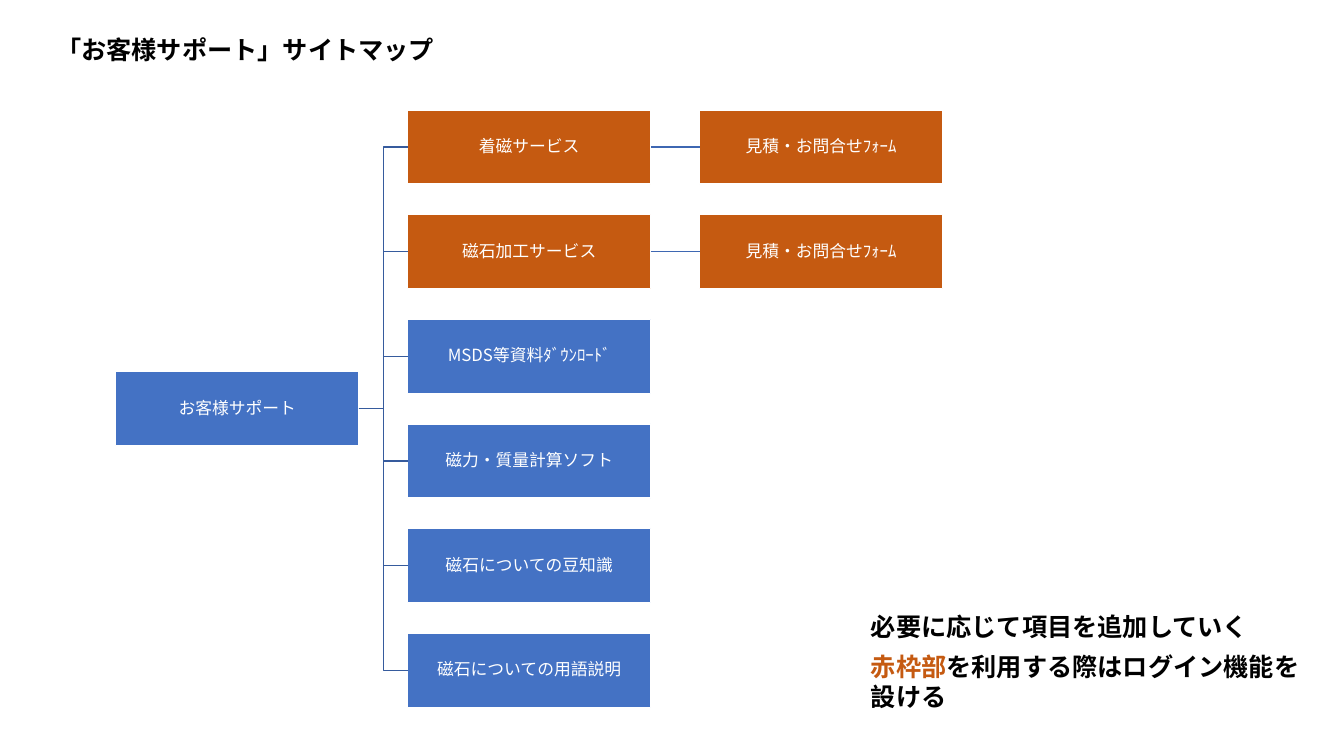
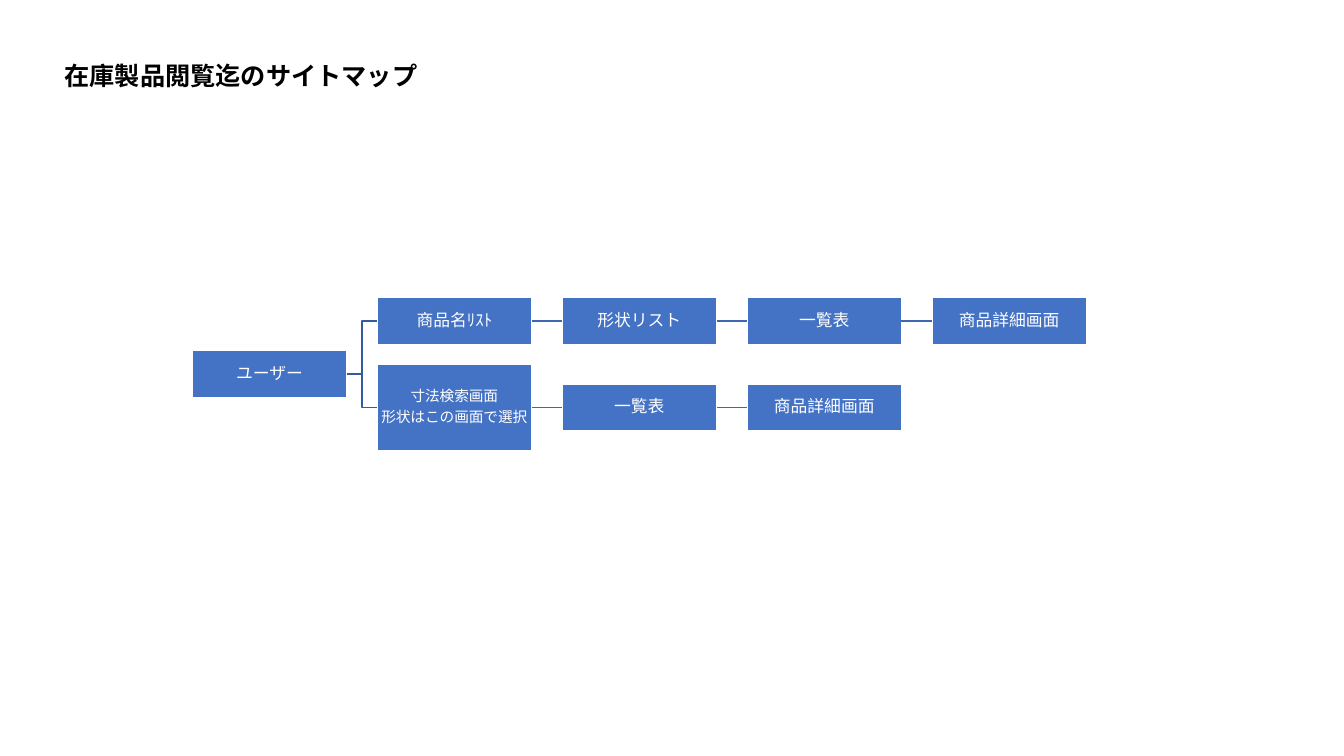
import pptx
import pptx.util
import pptx.dml.color
import pptx.enum.shapes
import pptx.enum.text
import pptx.oxml.ns
import lxml.etree

Pt = pptx.util.Pt
RGB = pptx.dml.color.RGBColor.from_string
SHAPE = pptx.enum.shapes.MSO_SHAPE
LINK = pptx.enum.shapes.MSO_CONNECTOR
ALIGN = pptx.enum.text.PP_ALIGN
ANCHOR = pptx.enum.text.MSO_ANCHOR
qn = pptx.oxml.ns.qn

FONT = "Noto Sans CJK JP"
HUES = {
    "blue": "4472C4",
    "rust": "C55A11",
    "bend": "365B9D",
    "line": "3E67B2",
    "white": "FFFFFF",
    "black": "000000",
}


def write(shape, text, size=18, hue="black", bold=True, lead="", node=False):
    """Fill a shape with one paragraph per line; lead is a rust-coloured opening."""
    frame = shape.text_frame
    frame.word_wrap = node
    if node:
        frame.vertical_anchor = ANCHOR.MIDDLE
        frame.margin_left = frame.margin_right = Pt(0.6)
        frame.margin_top = frame.margin_bottom = Pt(0.6)
    for i, row in enumerate(text.split("\n")):
        para = frame.add_paragraph() if i else frame.paragraphs[0]
        para.alignment = ALIGN.CENTER if node else ALIGN.LEFT
        if node:
            para.line_spacing = 0.9
            para.space_after = Pt(size * 0.35)
        parts = [(lead, "rust")] if lead and i == 0 else []
        for part, tint in parts + [(row, hue)]:
            run = para.add_run()
            run.text = part
            run.font.size = Pt(size)
            run.font.bold = bold
            run.font.name = FONT
            run.font.color.rgb = RGB(HUES[tint])
            east = lxml.etree.SubElement(run.font._element, qn("a:ea"))
            east.set("typeface", FONT)


def join(slide, start, end):
    """Link the right side of one box to the left side of the next."""
    level = start.top + start.height // 2 == end.top + end.height // 2
    kind = LINK.STRAIGHT if level else LINK.ELBOW
    link = slide.shapes.add_connector(kind, 0, 0, 0, 0)
    link.begin_connect(start, 3)
    link.end_connect(end, 1)
    link.line.color.rgb = RGB(HUES["line" if level else "bend"])
    link.line.width = Pt(1)
    lxml.etree.SubElement(link._element.spPr, qn("a:effectLst"))


# Each branch is a row of boxes that runs right from the root.
FORM = "見積・お問合せﾌｫｰﾑ"
MAPS = [
    {
        "notes": [
            ("「お客様サポート」サイトマップ", "", (33, 21, 287, 29)),
            ("必要に応じて項目を追加していく", "", (615, 433, 287, 29)),
            ("を利用する際はログイン機能を\n設ける", "赤枠部", (615, 461.5, 323, 51)),
        ],
        "root": "お客様サポート",
        "left": 82.7, "step": 208.5, "wide": 173.7, "high": 53,
        "top": 105.1, "pitch": 74.73, "mid": 291.9,
        "rows": [
            ("rust", ["着磁サービス", FORM]),
            ("rust", ["磁石加工サービス", FORM]),
            ("blue", ["MSDS等資料ﾀﾞｳﾝﾛｰﾄﾞ"]),
            ("blue", ["磁力・質量計算ソフト"]),
            ("blue", ["磁石についての豆知識"]),
            ("blue", ["磁石についての用語説明"]),
        ],
    },
    {
        "notes": [("在庫製品閲覧迄のサイトマップ", "", (39, 39.8, 269, 29))],
        "root": "ユーザー",
        "left": 137.4, "step": 132.1, "wide": 110.2, "high": 33.6,
        "top": 229.4, "pitch": 61.6, "mid": 267.3,
        "rows": [
            ("blue", ["商品名ﾘｽﾄ", "形状リスト", "一覧表", "商品詳細画面"]),
            ("blue", ["寸法検索画面\n形状はこの画面で選択", "一覧表", "商品詳細画面"]),
        ],
    },
]

deck = pptx.Presentation()
deck.slide_width, deck.slide_height = Pt(960), Pt(540)

for site in MAPS:
    slide = deck.slides.add_slide(deck.slide_layouts[6])
    for text, lead, area in site["notes"]:
        write(slide.shapes.add_textbox(*map(Pt, area)), text, lead=lead)

    cells = [(0, site["mid"], "blue", site["root"])]
    for i, (hue, names) in enumerate(site["rows"]):
        mid = site["top"] + i * site["pitch"]
        cells += [(col, mid, hue, name) for col, name in enumerate(names, 1)]

    root = last = None
    for col, mid, hue, name in cells:
        tall = "\n" in name
        high = 62 if tall else site["high"]
        box = slide.shapes.add_shape(
            SHAPE.RECTANGLE, Pt(site["left"] + col * site["step"]),
            Pt(mid - high / 2), Pt(site["wide"]), Pt(high))
        box.shadow.inherit = False
        box.fill.solid()
        box.fill.fore_color.rgb = RGB(HUES[hue])
        box.line.color.rgb = RGB(HUES["white"])
        box.line.width = Pt(1)
        write(box, name, size=10.5 if tall else 12, hue="white", bold=False, node=True)
        if col == 0:
            root = box
        else:
            join(slide, root if col == 1 else last, box)
        last = box

deck.save("out.pptx")
